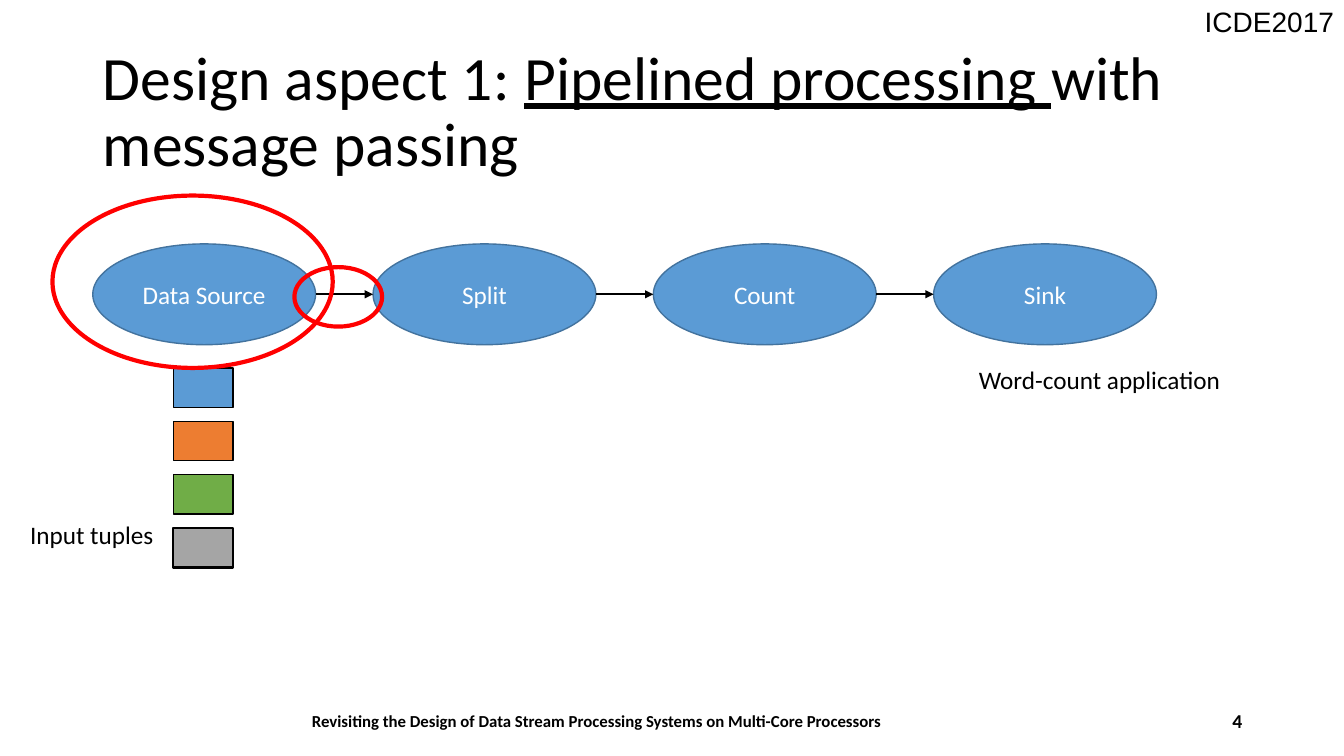
import pptx
import pptx.util
import pptx.dml.color
import pptx.enum.shapes
import pptx.enum.text
import pptx.oxml
import pptx.oxml.ns

Inches, Pt = pptx.util.Inches, pptx.util.Pt
SHAPE = pptx.enum.shapes.MSO_SHAPE
ALIGN = pptx.enum.text.PP_ALIGN
ANCHOR = pptx.enum.text.MSO_ANCHOR

# Content
TITLE = [("Design aspect 1: ", False), ("Pipelined processing ", True),
         ("with message passing", False)]
STAGES = ["Data Source", "Split", "Count", "Sink"]
TUPLES = [("5B9BD5", 1), ("ED7D31", 1), ("70AD47", 1), ("A5A5A5", 1.5)]
HIGHLIGHTS = [(0.52, 1.94, 2.78, 1.71), (2.92, 2.65, 0.87, 0.59)]
# text, box, alignment, anchor, wrap, font
LABELS = [
    ("ICDE2017", (11.84, 0, 1.5, 0.44), ALIGN.CENTER, ANCHOR.TOP, False,
     {"name": "Arial", "size": Pt(20)}),
    ("Revisiting the Design of Data Stream Processing Systems on Multi-Core Processors",
     (2.92, 6.95, 6, 0.4), ALIGN.CENTER, ANCHOR.MIDDLE, True, {"size": Pt(12), "bold": True}),
    ("4", (9.42, 6.95, 3, 0.4), ALIGN.RIGHT, ANCHOR.MIDDLE, True,
     {"size": Pt(14), "bold": True}),
    ("Input tuples", (0.2, 5.1, 1.44, 0.4), ALIGN.LEFT, ANCHOR.TOP, False, {}),
    ("Word-count application", (9.61, 3.57, 2.62, 0.4), ALIGN.LEFT, ANCHOR.TOP, False, {}),
]

# Layout
STAGE_LEFT, STAGE_TOP, STAGE_W, STAGE_H, STAGE_STEP = 0.92, 2.42, 2.21, 1, 2.78
TUPLE_LEFT, TUPLE_TOP, TUPLE_W, TUPLE_H, TUPLE_STEP = 1.72, 3.65, 0.59, 0.39, 0.53


def rgb(color):
    return pptx.dml.color.RGBColor.from_string(color)


def inches(box):
    return [Inches(length) for length in box]


def add_run(paragraph, text, color="000000", **changes):
    run = paragraph.add_run()
    run.text = text
    for key, value in {"name": "Calibri", "size": Pt(18), **changes}.items():
        setattr(run.font, key, value)
    run.font.color.rgb = rgb(color)


def add_outlined(preset, box, fill, line, weight):
    shape = slide.shapes.add_shape(preset, *inches(box))
    shape.shadow.inherit = False
    if fill:
        shape.fill.solid()
        shape.fill.fore_color.rgb = rgb(fill)
    else:
        shape.fill.background()
    shape.line.color.rgb = rgb(line)
    shape.line.width = Pt(weight)
    return shape


def add_arrow(start, end, y):
    arrow = slide.shapes.add_connector(pptx.enum.shapes.MSO_CONNECTOR.STRAIGHT,
                                       *inches((start, y, end, y)))
    arrow.line.color.rgb = rgb("000000")
    arrow.line.width = Pt(1.5)
    head = pptx.oxml.parse_xml(
        f'<a:tailEnd {pptx.oxml.ns.nsdecls("a")} type="triangle"/>')
    arrow.line._get_or_add_ln().append(head)
    arrow._element.spPr.append(
        pptx.oxml.parse_xml(f'<a:effectLst {pptx.oxml.ns.nsdecls("a")}/>'))


deck = pptx.Presentation()
deck.slide_width, deck.slide_height = Inches(13.33), Inches(7.5)
slide = deck.slides.add_slide(deck.slide_layouts[5])

# Title
title = slide.shapes.title
title.left, title.top, title.width, title.height = inches((0.92, 0.4, 11.5, 1.45))
title.text_frame.vertical_anchor = ANCHOR.MIDDLE
title.text_frame.auto_size = pptx.enum.text.MSO_AUTO_SIZE.NONE
heading = title.text_frame.paragraphs[0]
heading.alignment, heading.line_spacing = ALIGN.LEFT, 0.9
for text, underlined in TITLE:
    add_run(heading, text, size=Pt(44), underline=underlined)

# Pipeline stages and the arrows between them
for i, name in enumerate(STAGES):
    left = STAGE_LEFT + i * STAGE_STEP
    stage = add_outlined(SHAPE.OVAL, (left, STAGE_TOP, STAGE_W, STAGE_H),
                         "5B9BD5", "43739E", 1)
    stage.text_frame.vertical_anchor = ANCHOR.MIDDLE
    stage_line = stage.text_frame.paragraphs[0]
    stage_line.alignment = ALIGN.CENTER
    add_run(stage_line, name, "FFFFFF")
    if i:
        add_arrow(left - STAGE_STEP + STAGE_W, left, STAGE_TOP + STAGE_H / 2)

# Input tuples
for i, (fill, weight) in enumerate(TUPLES):
    add_outlined(SHAPE.RECTANGLE,
                 (TUPLE_LEFT, TUPLE_TOP + i * TUPLE_STEP, TUPLE_W, TUPLE_H),
                 fill, "000000", weight)

# Red highlight rings
for box in HIGHLIGHTS:
    add_outlined(SHAPE.OVAL, box, None, "FF0000", 3)

# Labels, footer and page number
for text, box, alignment, anchor, wrap, font in LABELS:
    frame = slide.shapes.add_textbox(*inches(box)).text_frame
    frame.word_wrap, frame.vertical_anchor = wrap, anchor
    frame.paragraphs[0].alignment = alignment
    add_run(frame.paragraphs[0], text, **font)

deck.save("out.pptx")
